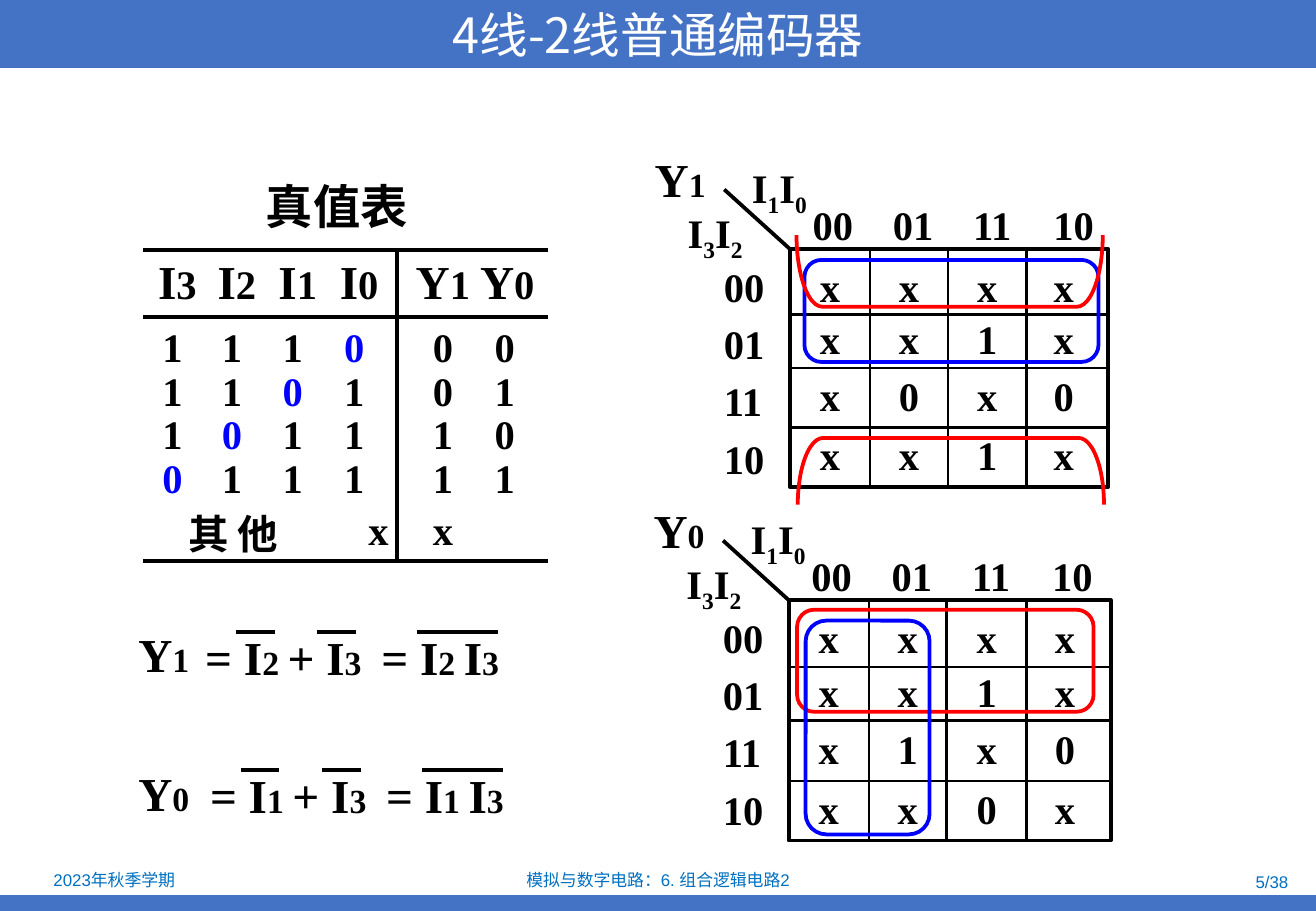
from dataclasses import dataclass
from itertools import accumulate

from lxml import etree
from pptx import Presentation
from pptx.dml.color import RGBColor
from pptx.enum.shapes import MSO_CONNECTOR, MSO_SHAPE
from pptx.enum.text import MSO_ANCHOR, PP_ALIGN
from pptx.oxml.ns import qn
from pptx.util import Inches, Pt

RECT, ROUND = MSO_SHAPE.RECTANGLE, MSO_SHAPE.ROUNDED_RECTANGLE
BRACKET = MSO_SHAPE.LEFT_BRACKET
STRAIGHT = MSO_CONNECTOR.STRAIGHT
LEFT, CENTER, RIGHT = PP_ALIGN.LEFT, PP_ALIGN.CENTER, PP_ALIGN.RIGHT
TOP, MIDDLE, BOTTOM = MSO_ANCHOR.TOP, MSO_ANCHOR.MIDDLE, MSO_ANCHOR.BOTTOM


@dataclass(frozen=True)
class Theme:
    bar: str = "4472C4"
    note: str = "0070C0"
    ink: str = "000000"
    paper: str = "FFFFFF"
    blue: str = "0000FF"
    red: str = "FF0000"
    serif: str = "Times New Roman"
    sans: str = "Arial"
    han: str = "Noto Sans CJK SC"
    title: float = 28.8
    big: int = 28
    body: int = 24
    small: int = 20
    foot: int = 10
    thick: float = 2.25
    thin: float = 1.5


THEME = Theme()


def unit(n):
    """Length of n grid columns or rows; the slide has 108.3 by 75."""
    return Inches(n / 10)


def write(frame, text, size=THEME.body, color=THEME.ink, font=THEME.serif,
          bold=True, align=LEFT, anchor=TOP, index=None, low=None, pitch=None):
    """Fill a frame; bars in the text switch to index marks and back.

    index is the size of the marks, low their baseline shift.
    """
    frame.word_wrap = True
    frame.vertical_anchor = anchor
    para = frame.paragraphs[0]
    para.alignment = align
    if pitch:
        para.line_spacing = pitch
    for i, part in enumerate(text.split("|")):
        if not part:
            continue
        mark = i % 2 == 1
        run = para.add_run()
        run.text = part
        run.font.size = Pt(index if mark and index else size)
        run.font.bold = bold
        run.font.name = font
        run.font.color.rgb = RGBColor.from_string(color)
        props = run.font._element
        etree.SubElement(props, qn("a:ea")).set("typeface", THEME.han)
        if mark and low:
            props.set("baseline", str(low))


class Board:
    def __init__(self, slide, theme):
        self.slide, self.theme = slide, theme

    def title(self, text, x, y, w, h):
        box = self.slide.shapes.title
        box.left, box.top, box.width, box.height = map(unit, (x, y, w, h))
        box.fill.solid()
        box.fill.fore_color.rgb = RGBColor.from_string(self.theme.bar)
        write(box.text_frame, text, size=self.theme.title, font=self.theme.han,
              color=self.theme.paper, bold=False, align=CENTER, anchor=MIDDLE)

    def text(self, text, x, y, w, h, **fmt):
        box = self.slide.shapes.add_textbox(*map(unit, (x, y, w, h)))
        write(box.text_frame, text, **fmt)

    def shape(self, kind, x, y, w, h, fill=None, line=None, bend=None, turn=0):
        item = self.slide.shapes.add_shape(kind, *map(unit, (x, y, w, h)))
        item.shadow.inherit = False
        item.rotation = turn
        if bend:
            item.adjustments[0] = bend
        if fill:
            item.fill.solid()
            item.fill.fore_color.rgb = RGBColor.from_string(fill)
        else:
            item.fill.background()
        if line:
            item.line.color.rgb = RGBColor.from_string(line)
            item.line.width = Pt(self.theme.thick)
        else:
            item.line.fill.background()

    def line(self, x1, y1, x2, y2, width=THEME.thick):
        item = self.slide.shapes.add_connector(
            STRAIGHT, *map(unit, (x1, y1, x2, y2)))
        item.line.color.rgb = RGBColor.from_string(self.theme.ink)
        item.line.width = Pt(width)
        etree.SubElement(item._element.spPr, qn("a:effectLst"))

    def table(self, x, y, cols, rows, data, style, pads):
        """style and pads map a row and column to cell settings."""
        table = self.slide.shapes.add_table(
            len(rows), len(cols), *map(unit, (x, y, sum(cols), sum(rows)))).table
        table.first_row = table.horz_banding = False
        for col, w in zip(table.columns, cols):
            col.width = unit(w)
        for row, h in zip(table.rows, rows):
            row.height = unit(h)
        for r, texts in enumerate(data):
            for c, text in enumerate(texts):
                cell = table.cell(r, c)
                cell.fill.background()
                (cell.margin_left, cell.margin_right,
                 cell.margin_top, cell.margin_bottom) = map(unit, pads(r, c))
                fmt = {"align": CENTER, "anchor": MIDDLE, **style(r, c, text)}
                cell.vertical_anchor = fmt.pop("anchor")
                write(cell.text_frame, text, **fmt)
        return table


def truth(board):
    data = [("I|3", "I|2", "I|1", "I|0", "Y|1", "Y|0"), "111000", "110101",
            "101110", "011111", ("其 他", "", "", "x", "x", "")]
    head, last = 0, len(data) - 1
    x, y, w, h = 11.8, 20.6, 33.3, 25.6

    def style(r, c, text):
        if r == head:
            return {"size": THEME.big, "index": THEME.body}
        if r == last:
            return {}
        color = THEME.blue if c < 4 and text == "0" else THEME.ink
        return {"color": color, "pitch": 0.9, "anchor": BOTTOM}

    def pads(r, c):
        if r == head:
            return (0.8, 1 if c == 3 else 0, 0, 0) if c < 5 else (0, 1, 0, 0)
        if (r, c) == (last, 3):
            return 3, 0, 0, 0
        return 0.8 * (c == 4), {3: 1, 5: 1.4}.get(c, 0), 0, 0

    table = board.table(x, y, (4.8, 5, 5, 6.1, 6.7, 5.7),
                        (5.5, 4.4, 3.6, 3.6, 3.6, 4.9), data, style, pads)
    table.cell(last, 0).merge(table.cell(last, 2))
    board.line(x + 20.9, y, x + 20.9, y + h)
    for row in (0, 5.5, h):
        board.line(x, y + row, x + w, y + row)
    board.text("真值表", 20.9, 14.1, 16, 5.7, size=THEME.big, font=THEME.sans)


def kmap(board, name, x, y, cols, rows, data):
    w, h = sum(cols), sum(rows)
    board.table(x, y, cols, rows, data, lambda r, c, text: {},
                lambda r, c: (0, 0.6 * (c == 3), 1.1 * (r == 0), 0))
    board.shape(RECT, x, y, w, h, line=THEME.ink)
    for col in accumulate(cols[:-1]):
        board.line(x + col, y, x + col, y + h, THEME.thin)
    for row in accumulate(rows[:-1]):
        board.line(x, y + row, x + w, y + row, THEME.thin)
    board.line(x, y, x - 5.4, y - 4.9)
    board.text(name, x - 12.1, y - 8.6, 8, 5.7, size=THEME.big, index=THEME.small)
    board.text("I|3|I|2", x - 9.4, y - 3.9, 8, 5, low=-25000)
    board.text("I|1|I|0", x - 4.1, y - 7.6, 8, 5, low=-25000)
    for i, code in enumerate(("00", "01", "11", "10")):
        board.text(code, x + 0.9 + 6.6 * i, y - 4.5, 6, 5)
        board.text(code, x - 6.4, y + 0.6 + 4.7 * i, 6, 5)


def logic(board, name, term, x, y):
    fmt = {"size": THEME.big, "index": THEME.small}
    board.text(name, 10.4, y - 0.2, 6.5, 5.7, **fmt)
    board.text(f"= {term} |+ I|3", x, y, 16.5, 5.7, **fmt)
    board.text(f"= {term} |I|3", x + 14.5, y, 15, 5.7, **fmt)
    for start, w in ((3.5, 3.2), (10.2, 3.2), (18.4, 6.7)):
        board.line(x + start, y + 0.8, x + start + w, y + 0.8)


def main():
    deck = Presentation()
    deck.slide_width, deck.slide_height = unit(108.3), unit(75)
    board = Board(deck.slides.add_slide(deck.slide_layouts[5]), THEME)
    board.shape(RECT, 0, 73.7, 108.3, 1.3, fill=THEME.bar)
    board.title("4线-2线普通编码器", 0, 0, 108.3, 5.6)
    for text, x, y, w, align in (
            ("2023年秋季学期", 0.2, 71.3, 18.4, CENTER),
            ("模拟与数字电路：6. 组合逻辑电路2", 37, 71.3, 34.3, CENTER),
            ("5/38", 81.8, 71.5, 25.2, RIGHT)):
        board.text(text, x, y, w, 2.2, size=THEME.foot, color=THEME.note,
                   font=THEME.sans, bold=False, align=align, anchor=MIDDLE)
    truth(board)
    logic(board, "Y|1", "I|2", 15.9, 51.2)
    logic(board, "Y|0", "I|1", 16.3, 62.6)
    kmap(board, "Y|1", 65, 20.5, (6.6, 6.4, 6.5, 6.7), (5.4, 4.4, 4.9, 4.9),
         ("xxxx", "xx1x", "x0x0", "xx1x"))
    kmap(board, "Y|0", 64.9, 49.4, (6.6, 6.4, 6.6, 6.9), (5.5, 4.4, 5, 4.9),
         ("xxxx", "xx1x", "x1x0", "xx0x"))
    for color, *place in ((THEME.blue, 66.2, 21.4, 24.2, 8.4),
                          (THEME.red, 65.6, 50.2, 24.4, 8.4),
                          (THEME.blue, 66.3, 51.1, 10.2, 17.6)):
        board.shape(ROUND, *place, line=color, bend=0.167)
    board.shape(BRACKET, 75.5, 26.2, 5.5, 25.2, line=THEME.red, bend=0.38, turn=90)
    board.shape(BRACKET, 75.2, 9.7, 5.9, 25.2, line=THEME.red, bend=0.36, turn=270)
    deck.save("out.pptx")


if __name__ == "__main__":
    main()
